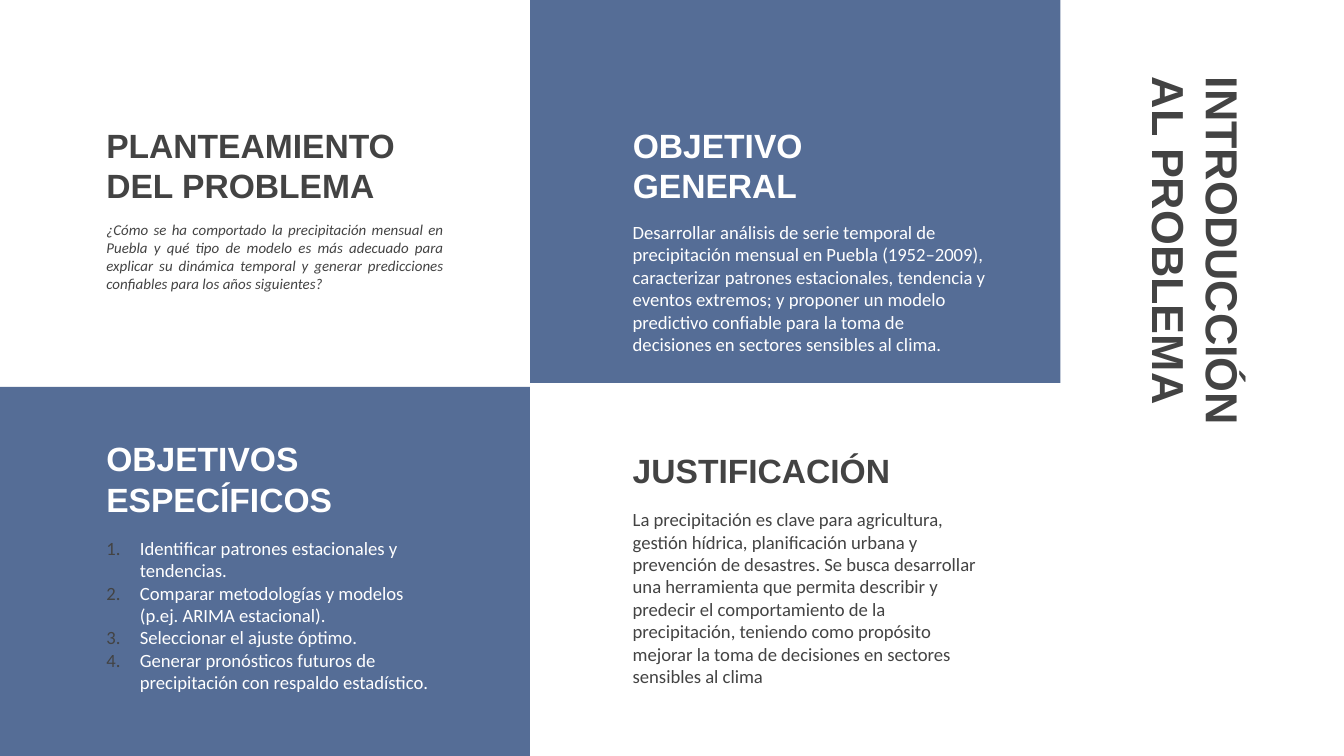
import lxml.etree
import pptx
import pptx.dml.color
import pptx.enum.shapes
import pptx.enum.text
import pptx.oxml.ns
import pptx.util

COLORS = {"blue": "556D96", "white": "FFFFFF", "dark": "434343"}
ANCHOR = pptx.enum.text.MSO_ANCHOR
ALIGN = pptx.enum.text.PP_ALIGN
qn = pptx.oxml.ns.qn

prs = pptx.Presentation()
prs.slide_width = pptx.util.Inches(10)
prs.slide_height = prs.slide_width * 9 // 16
s = prs.slides.add_slide(prs.slide_layouts[6])


def place(x, y, w, h):
    pw, ph = prs.slide_width / 100, prs.slide_height / 100
    return int(x * pw), int(y * ph), int(w * pw), int(h * ph)


def add_text(box, lines, color, fmt, anchor=ANCHOR.TOP, align=ALIGN.LEFT, numbered=False):
    sp = s.shapes.add_textbox(*place(*box))
    tf = sp.text_frame
    frame = {"word_wrap": True, "vertical_anchor": anchor}
    for side in ("left", "top", "right", "bottom"):
        frame[f"margin_{side}"] = pptx.util.Inches(0.1)
    for key, value in frame.items():
        setattr(tf, key, value)
    for i, line in enumerate(lines):
        p = tf.add_paragraph() if i else tf.paragraphs[0]
        p.text = line
        p.alignment = align
        if numbered:
            pPr = p._p.get_or_add_pPr()
            indent = pptx.util.Inches(0.25)
            pPr.set("marL", str(indent))
            pPr.set("indent", str(-indent))
            clr = lxml.etree.SubElement(pPr, qn("a:buClr"))
            lxml.etree.SubElement(clr, qn("a:srgbClr"), val=COLORS["dark"])
            lxml.etree.SubElement(pPr, qn("a:buAutoNum"), type="arabicPeriod")
        for r in p.runs:
            for key, value in fmt.items():
                setattr(r.font, key, value)
            r.font.color.rgb = pptx.dml.color.RGBColor.from_string(COLORS[color])
    return sp


HEADING = {"name": "Arial", "size": pptx.util.Pt(18), "bold": True}
BODY = {"name": "Calibri", "size": pptx.util.Pt(10)}
TITLE = {**HEADING, "size": pptx.util.Pt(24)}
QUESTION = {**BODY, "size": pptx.util.Pt(8), "italic": True}

COL = 39.45
MID = 51.2
LEFT, RIGHT = 6.93, 46.1

title = add_text((73.1, 32.05, 31.9, 9.42), ["INTRODUCCIÓN AL PROBLEMA"], "dark", TITLE,
                 anchor=ANCHOR.MIDDLE)
title.rotation = 90

panels = [
    (COL, -0.53, MID, "blue"),
    (0, MID, 100 - MID, "blue"),
    (COL, MID, 100 - MID, "white"),
]
for x, y, h, color in panels:
    sp = s.shapes.add_shape(pptx.enum.shapes.MSO_SHAPE.RECTANGLE, *place(x, y, COL, h))
    sp.shadow.inherit = False
    sp.fill.solid()
    sp.fill.fore_color.rgb = pptx.dml.color.RGBColor.from_string(COLORS[color])
    sp.line.fill.background()

add_text((LEFT, 27.4, 27.1, 10.5), [
    "¿Cómo se ha comportado la precipitación mensual en Puebla y qué tipo de modelo es más adecuado "
    "para explicar su dinámica temporal y generar predicciones confiables para los años siguientes?",
], "dark", QUESTION, align=ALIGN.JUSTIFY)

add_text((LEFT, 69.2, 27.1, 18.3), [
    "Identificar patrones estacionales y tendencias.",
    "Comparar metodologías y modelos (p.ej. ARIMA estacional).",
    "Seleccionar el ajuste óptimo.",
    "Generar pronósticos futuros de precipitación con respaldo estadístico.",
], "white", BODY, numbered=True)

headings = [
    (RIGHT, 16.36, 29.5, "OBJETIVO\vGENERAL", "white"),
    (LEFT, 57.78, 31.4, "OBJETIVOS\vESPECÍFICOS", "white"),
    (LEFT, 16.36, 31.4, "PLANTEAMIENTO\vDEL PROBLEMA", "dark"),
    (RIGHT, 54.04, 28.3, "JUSTIFICACIÓN", "dark"),
]
for x, y, w, text, color in headings:
    add_text((x, y, w, 12.62), [text], color, HEADING, anchor=ANCHOR.BOTTOM)

add_text((RIGHT, 65.42, 28.3, 14.6), [
    "La precipitación es clave para agricultura, gestión hídrica, planificación urbana y prevención "
    "de desastres. Se busca desarrollar una herramienta que permita describir y predecir el "
    "comportamiento de la precipitación, teniendo como propósito mejorar la toma de decisiones en "
    "sectores sensibles al clima",
], "dark", BODY)

add_text((RIGHT, 27.4, 28.3, 14.4), [
    "Desarrollar análisis de serie temporal de precipitación mensual en Puebla (1952–2009), "
    "caracterizar patrones estacionales, tendencia y eventos extremos; y proponer un modelo "
    "predictivo confiable para la toma de decisiones en sectores sensibles al clima.",
], "white", BODY)

prs.save("out.pptx")
